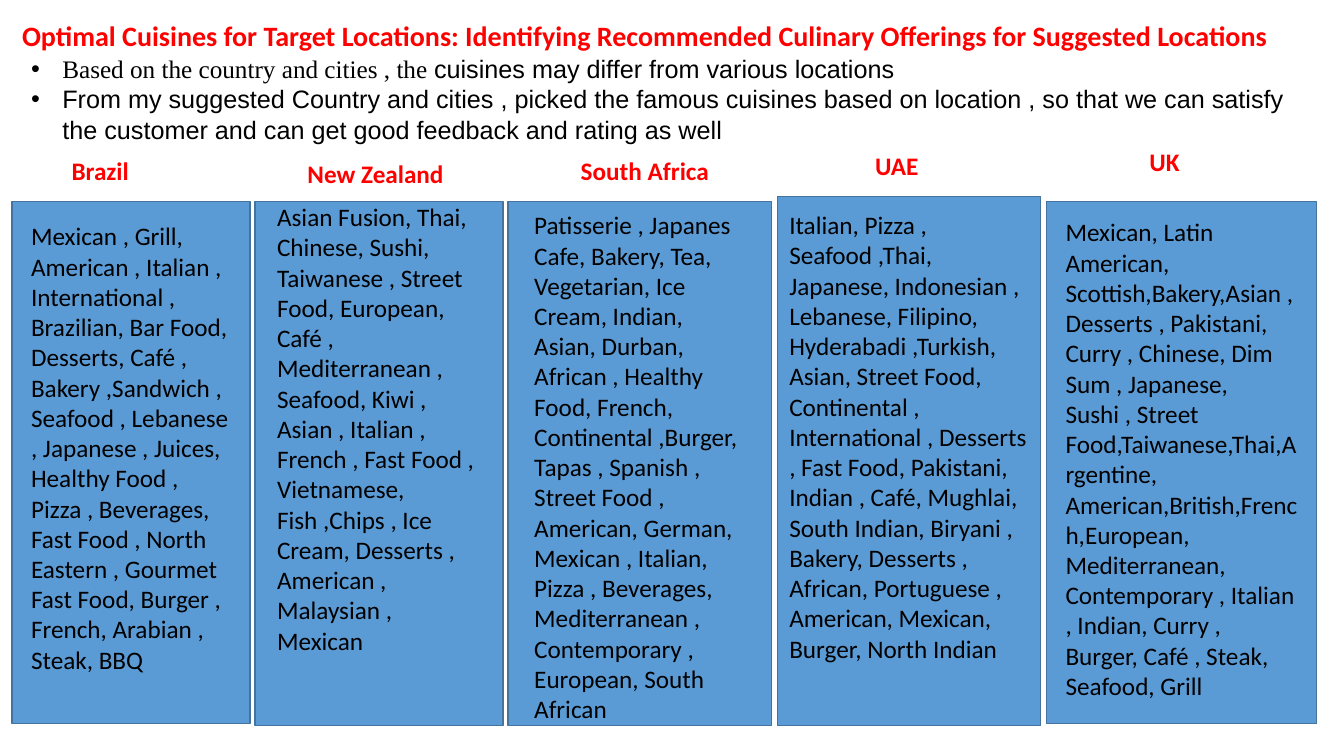
from lxml import etree
from pptx import Presentation
from pptx.dml.color import RGBColor
from pptx.enum.shapes import MSO_SHAPE as Shape
from pptx.enum.text import MSO_AUTO_SIZE as AutoSize
from pptx.oxml.ns import qn
from pptx.util import Inches, Pt

RED = RGBColor(0xFF, 0x00, 0x00)
BLACK = RGBColor(0x00, 0x00, 0x00)
PANEL_BLUE = RGBColor(0x5B, 0x9B, 0xD5)
PANEL_EDGE = RGBColor(0x43, 0x73, 0x9E)

# Content
TITLE = ("Optimal Cuisines for Target Locations: Identifying Recommended "
         "Culinary Offerings for Suggested Locations")

# Each point is a list of (text, font) pieces
POINTS = [
    [("Based on the country and cities , the ", "Times New Roman"),
     ("cuisines may differ from various locations", "Arial")],
    [("From my suggested Country and cities , picked the famous cuisines based on "
      "location , so that we can satisfy the customer and can get good feedback "
      "and rating as well", "Arial")],
]

# Country, heading box, panel box, cuisine box, cuisines
COUNTRIES = [
    ("Brazil", (0.21, 1.49, 1.66, 0.4), (0.12, 2, 2.36, 5.18), (0.21, 2.14, 2.2, 4.64),
     "Mexican , Grill, American , Italian , International , Brazilian, Bar Food, "
     "Desserts, Café , Bakery ,Sandwich , Seafood , Lebanese , Japanese , Juices, "
     "Healthy Food , Pizza , Beverages, Fast Food , North Eastern , Gourmet Fast Food, "
     "Burger , French, Arabian , Steak, BBQ"),
    ("New Zealand", (2.55, 1.52, 2.44, 0.4), (2.53, 2, 2.46, 5.2), (2.65, 1.95, 2.2, 4.64),
     "Asian Fusion, Thai, Chinese, Sushi, Taiwanese , Street Food, European, Café , "
     "Mediterranean , Seafood, Kiwi , Asian , Italian , French , Fast Food , "
     "Vietnamese, Fish ,Chips , Ice Cream, Desserts , American , Malaysian , Mexican"),
    ("South Africa", (5.26, 1.49, 2.01, 0.4), (5.04, 2, 2.61, 5.2), (5.2, 2.03, 2.22, 5.25),
     "Patisserie , Japanes \nCafe, Bakery, Tea, Vegetarian, Ice Cream, Indian, Asian, "
     "Durban, African , Healthy Food, French,\nContinental ,Burger,\nTapas , Spanish , "
     "Street Food , American, German, Mexican , Italian, Pizza , Beverages, "
     "Mediterranean , Contemporary , European, South African"),
    ("UAE", (8.18, 1.44, 1.66, 0.4), (7.71, 1.95, 2.61, 5.25), (7.73, 2.03, 2.56, 4.34),
     "Italian, Pizza , Seafood ,Thai, Japanese, Indonesian , Lebanese, Filipino, "
     "Hyderabadi ,Turkish, Asian, Street Food, Continental , International , Desserts , "
     "Fast Food, Pakistani, Indian , Café, Mughlai, South Indian, Biryani , Bakery, "
     "Desserts , African, Portuguese , American, Mexican, Burger, North Indian"),
    ("UK", (10.9, 1.4, 1.66, 0.4), (10.38, 2, 2.68, 5.18), (10.47, 2.1, 2.5, 4.95),
     "Mexican, Latin American, Scottish,Bakery,Asian ,Desserts , Pakistani, Curry , "
     "Chinese, Dim Sum , Japanese, Sushi , Street Food,Taiwanese,Thai,Argentine, "
     "American,British,French,European, Mediterranean, Contemporary , Italian , Indian, "
     "Curry , Burger, Café , Steak, Seafood, Grill"),
]
HEADING_INDENT = 0.5

prs = Presentation()
prs.slide_width, prs.slide_height = Inches(13.33), Inches(7.5)
slide = prs.slides.add_slide(prs.slide_layouts[6])


def style(run, font="Calibri", size=18, color=BLACK, bold=False):
    run.font.name = font
    run.font.size = Pt(size)
    run.font.color.rgb = color
    run.font.bold = bold


def add_frame(box):
    frame = slide.shapes.add_textbox(*map(Inches, box)).text_frame
    frame.word_wrap = True
    frame.auto_size = AutoSize.SHAPE_TO_FIT_TEXT
    return frame


def add_text(box, text, **look):
    frame = add_frame(box)
    paragraph = frame.paragraphs[0]
    paragraph.text = text.replace("\n", "\v")
    for run in paragraph.runs:
        style(run, **look)
    return frame


def add_bullet(paragraph):
    props = paragraph._p.get_or_add_pPr()
    props.set("marL", str(Inches(0.31)))
    props.set("indent", str(-Inches(0.31)))
    etree.SubElement(props, qn("a:buFont")).set("typeface", "Arial")
    etree.SubElement(props, qn("a:buChar")).set("char", "•")


# Introductory points
points = add_frame((0.21, 0.48, 12.85, 1.01))
for i, pieces in enumerate(POINTS):
    point = points.add_paragraph() if i else points.paragraphs[0]
    add_bullet(point)
    for text, font in pieces:
        run = point.add_run()
        run.text = text
        style(run, font=font)

# Title
add_text((0.12, 0.13, 12.65, 0.44), TITLE, size=20, color=RED, bold=True)

# Country columns
for country, heading_box, panel_box, cuisine_box, cuisines in COUNTRIES:
    panel = slide.shapes.add_shape(Shape.RECTANGLE, *map(Inches, panel_box))
    panel.shadow.inherit = False
    panel.fill.solid()
    panel.fill.fore_color.rgb = PANEL_BLUE
    panel.line.color.rgb = PANEL_EDGE
    panel.line.width = Pt(1)

    add_text(cuisine_box, cuisines)
    heading = add_text(heading_box, country, color=RED, bold=True)
    heading.margin_left = Inches(HEADING_INDENT)

prs.save("out.pptx")
